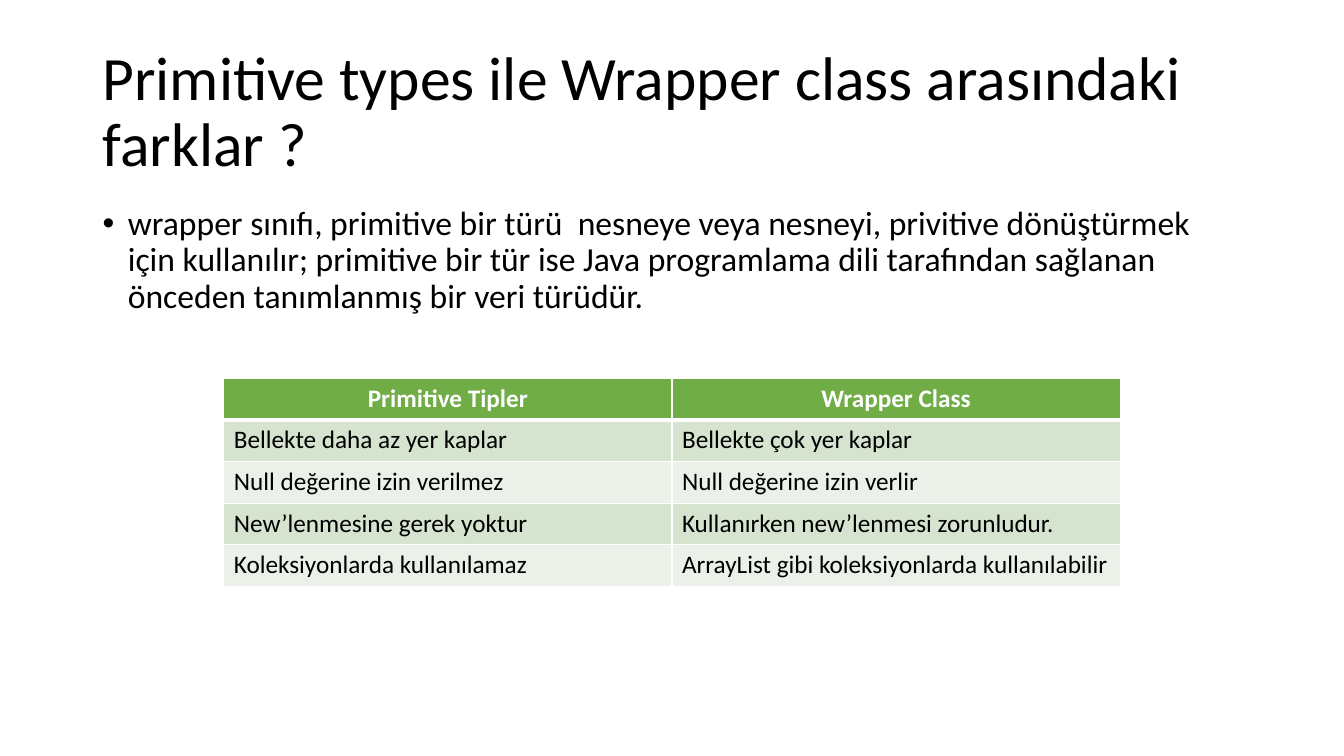
from lxml import etree
from pptx import Presentation
from pptx.dml.color import RGBColor
from pptx.enum.text import MSO_ANCHOR, PP_ALIGN
from pptx.oxml.ns import qn
from pptx.util import Inches, Pt

MIDDLE, TOP = MSO_ANCHOR.MIDDLE, MSO_ANCHOR.TOP
CENTER, LEFT = PP_ALIGN.CENTER, PP_ALIGN.LEFT

FONT = "Calibri"
BLACK, WHITE, GREEN = "000000", "FFFFFF", "70AD47"
BANDS = ["D5E3CF", "EBF1E9"]

TITLE = "Primitive types ile Wrapper class arasındaki farklar ?"
BODY = (
    "wrapper sınıfı, primitive bir türü  nesneye veya nesneyi, privitive "
    "dönüştürmek için kullanılır; primitive bir tür ise Java programlama dili "
    "tarafından sağlanan önceden tanımlanmış bir veri türüdür."
)
ROWS = [
    ("Primitive Tipler", "Wrapper Class"),
    ("Bellekte daha az yer kaplar", "Bellekte çok yer kaplar"),
    ("Null değerine izin verilmez", "Null değerine izin verlir"),
    ("New’lenmesine gerek yoktur", "Kullanırken new’lenmesi zorunludur."),
    ("Koleksiyonlarda kullanılamaz", "ArrayList gibi koleksiyonlarda kullanılabilir"),
]
TABLE_AREA = (2.22, 3.75, 8.89, 2.07)


def color(code):
    return RGBColor.from_string(code)


def set_font(para, size, code, bold=False):
    para.font.name = FONT
    para.font.size = Pt(size)
    para.font.bold = bold
    para.font.color.rgb = color(code)


def add_text(page, text, area, size, anchor):
    box = page.shapes.add_textbox(*map(Inches, area))
    frame = box.text_frame
    frame.word_wrap = True
    frame.vertical_anchor = anchor
    para = frame.paragraphs[0]
    para.text = text
    para.line_spacing = 0.9
    set_font(para, size, BLACK)
    return para


def add_bullet(para, indent):
    props = para._p.get_or_add_pPr()
    props.set("marL", str(Inches(indent)))
    props.set("indent", str(-Inches(indent)))
    bullet_font = etree.Element(qn("a:buFont"), typeface="Arial")
    bullet = etree.Element(qn("a:buChar"), char="•")
    spacing = props.find(qn("a:spcBef"))
    spacing.addnext(bullet_font)
    bullet_font.addnext(bullet)


def set_borders(cell, widths):
    props = cell._tc.get_or_add_tcPr()
    for place, (side, width) in enumerate(widths.items()):
        line = etree.Element(qn(f"a:ln{side}"), w=str(Pt(width)))
        fill = etree.SubElement(line, qn("a:solidFill"))
        etree.SubElement(fill, qn("a:srgbClr"), val=WHITE)
        props.insert(place, line)


def add_comparison(page):
    frame = page.shapes.add_table(len(ROWS), len(ROWS[0]), *map(Inches, TABLE_AREA))
    table = frame.table
    for r, texts in enumerate(ROWS):
        header = r == 0
        for c, text in enumerate(texts):
            cell = table.cell(r, c)
            cell.text = text
            para = cell.text_frame.paragraphs[0]
            para.alignment = CENTER if header else LEFT
            set_font(para, 18, WHITE if header else BLACK, header)
            cell.fill.solid()
            cell.fill.fore_color.rgb = color(GREEN if header else BANDS[(r - 1) % 2])
            top = 3 if r == 1 else 1
            bottom = 3 if header else 1
            set_borders(cell, {"L": 1, "R": 1, "T": top, "B": bottom})


def main():
    deck = Presentation()
    deck.slide_width, deck.slide_height = Inches(13.33), Inches(7.5)
    page = deck.slides.add_slide(deck.slide_layouts[6])
    add_text(page, TITLE, (0.92, 0.4, 11.5, 1.45), 44, MIDDLE)
    body = add_text(page, BODY, (0.92, 2, 11.5, 4.76), 24, TOP)
    body.space_before = Pt(10)
    add_bullet(body, 0.25)
    add_comparison(page)
    deck.save("out.pptx")


if __name__ == "__main__":
    main()
